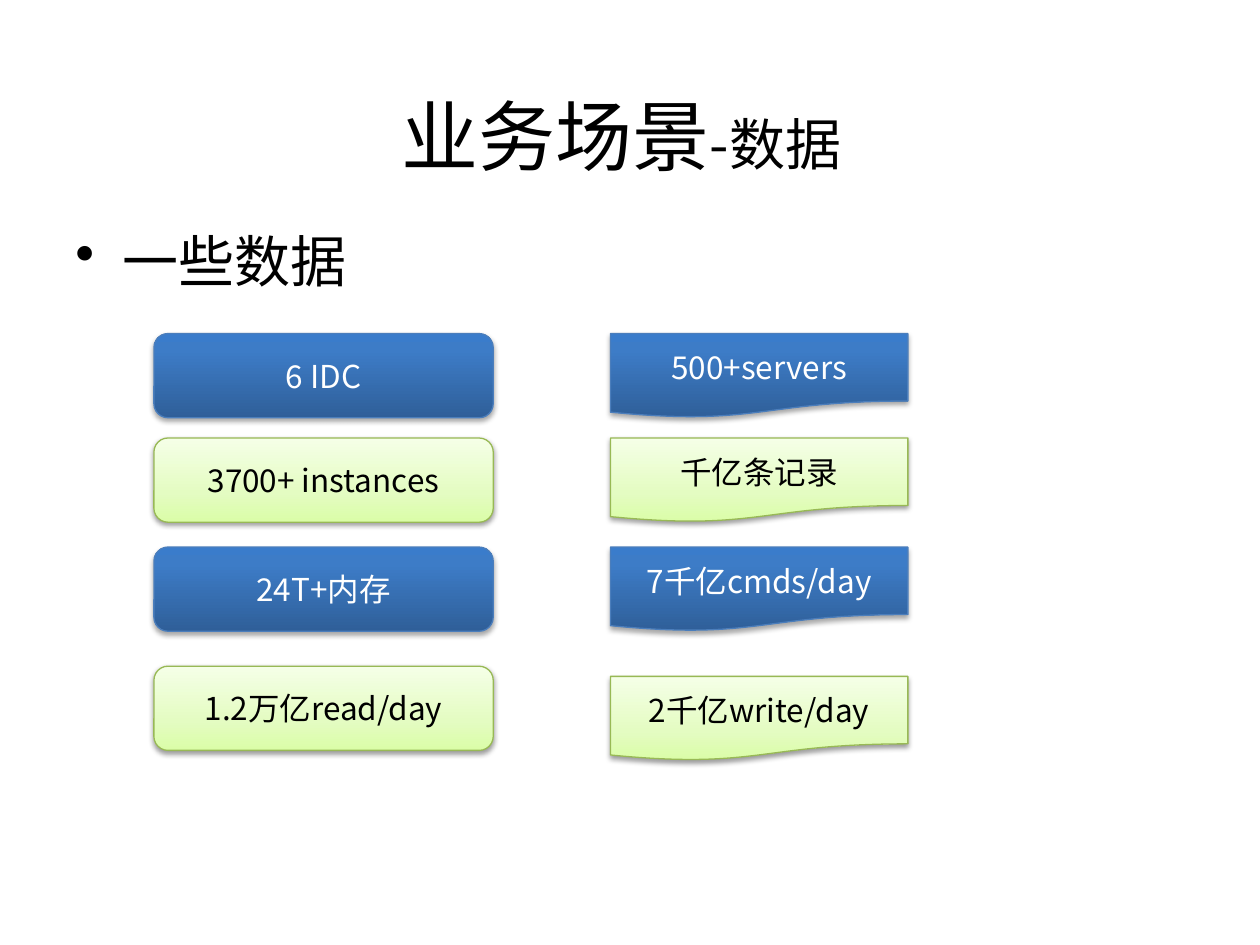
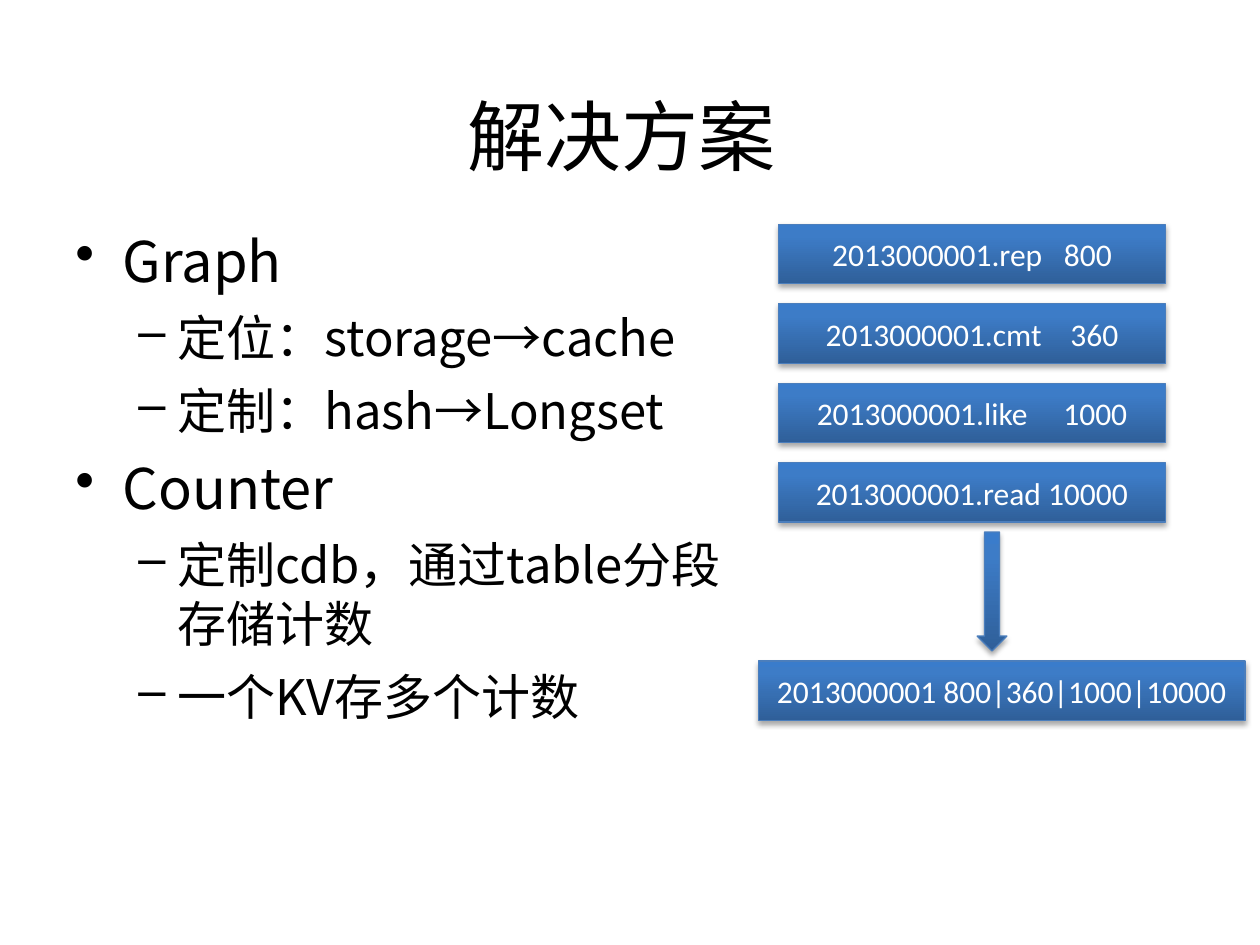
from dataclasses import dataclass, field
from typing import NamedTuple

from lxml.etree import SubElement
from pptx import Presentation
from pptx.dml.color import RGBColor
from pptx.enum.shapes import MSO_SHAPE
from pptx.enum.text import MSO_ANCHOR, PP_ALIGN
from pptx.oxml.ns import qn
from pptx.util import Pt


class Box(NamedTuple):
    left: float
    top: float
    width: float
    height: float


class Piece(NamedTuple):
    text: str
    size: float
    tracking: float = 0


class BulletLevel(NamedTuple):
    mark: str
    margin: float
    hanging: float
    size: float


class Bullet(NamedTuple):
    text: str
    level: int = 0


class Record(NamedTuple):
    key: str
    value: str
    gap_in_spaces: int


@dataclass(frozen=True)
class CardStyle:
    gradient: tuple[tuple[int, str], ...]
    line: str
    text: str
    shadow_opacity: int
    shadow_distance: float


@dataclass(frozen=True)
class Theme:
    text: str = "000000"
    cjk_font: str = "Noto Sans CJK SC"
    record_font: str = "Calibri"
    title_size: float = 44
    subtitle_size: float = 32
    card_size: float = 18
    record_space: float = 4.07
    space_before: float = 8
    shadow_blur: float = 3.1
    levels: tuple[BulletLevel, ...] = (
        BulletLevel("•", 27, 27, 32),
        BulletLevel("–", 58.5, 22.5, 28),
    )
    blue: CardStyle = field(default=CardStyle(
        ((0, "2F5F99"), (80, "3D7CC7"), (100, "3A7CCB")), "4B7EBC", "FFFFFF", 35, 1.8))
    green: CardStyle = field(default=CardStyle(
        ((0, "DAFDA7"), (35, "E4FCC2"), (100, "F5FFE7")), "98B955", "000000", 38, 1.6))


THEME = Theme()
TITLE_BOX = Box(31.2, 31.7, 648, 90)
BODY_TOP, BODY_HEIGHT = 126, 356.4


def emu(points: float) -> str:
    return str(int(Pt(points)))


def place(box: Box) -> tuple:
    return tuple(Pt(length) for length in box)


def write_pieces(paragraph, pieces: list[Piece], font_name: str, color: str) -> None:
    for piece in pieces:
        run = paragraph.add_run()
        run.text = piece.text
        run.font.size = Pt(piece.size)
        run.font.color.rgb = RGBColor.from_string(color)
        run.font.name = font_name
        properties = run.font._element
        SubElement(properties, qn("a:ea")).set("typeface", font_name)
        if piece.tracking:
            properties.set("spc", str(round(piece.tracking * 100)))


def add_title(slide, pieces: list[Piece]) -> None:
    text_frame = slide.shapes.add_textbox(*place(TITLE_BOX)).text_frame
    text_frame.word_wrap = True
    text_frame.vertical_anchor = MSO_ANCHOR.MIDDLE
    paragraph = text_frame.paragraphs[0]
    paragraph.alignment = PP_ALIGN.CENTER
    write_pieces(paragraph, pieces, THEME.cjk_font, THEME.text)


def add_bullets(slide, width: float, bullets: list[Bullet]) -> None:
    box = Box(36, BODY_TOP, width, BODY_HEIGHT)
    text_frame = slide.shapes.add_textbox(*place(box)).text_frame
    text_frame.word_wrap = True
    for index, bullet in enumerate(bullets):
        paragraph = text_frame.add_paragraph() if index else text_frame.paragraphs[0]
        level = THEME.levels[bullet.level]
        paragraph.level = bullet.level
        properties = paragraph._p.get_or_add_pPr()
        properties.set("marL", emu(level.margin))
        properties.set("indent", emu(-level.hanging))
        SubElement(properties, qn("a:buChar")).set("char", level.mark)
        if index:
            paragraph.space_before = Pt(THEME.space_before)
        write_pieces(paragraph, [Piece(bullet.text, level.size)], THEME.cjk_font, THEME.text)


def set_gradient(shape, stops: tuple[tuple[int, str], ...]) -> None:
    """Fill the shape with the stops, running from bottom to top."""
    shape.fill.gradient()
    shape.fill.gradient_angle = 90
    stop_list = shape._element.spPr.find(qn("a:gradFill")).find(qn("a:gsLst"))
    for stop in list(stop_list):
        stop_list.remove(stop)
    for position, color in stops:
        stop = SubElement(stop_list, qn("a:gs"), pos=str(position * 1000))
        SubElement(stop, qn("a:srgbClr"), val=color)


def set_shadow(shape, style: CardStyle) -> None:
    shape.shadow.inherit = False
    effects = shape._element.spPr.find(qn("a:effectLst"))
    shadow = SubElement(effects, qn("a:outerShdw"), blurRad=emu(THEME.shadow_blur),
                        dist=emu(style.shadow_distance), dir="5400000", rotWithShape="0")
    color = SubElement(shadow, qn("a:srgbClr"), val="000000")
    SubElement(color, qn("a:alpha"), val=str(style.shadow_opacity * 1000))


def add_card(slide, preset: MSO_SHAPE, box: Box, style: CardStyle,
             pieces: list[Piece], font_name: str) -> None:
    shape = slide.shapes.add_shape(preset, *place(box))
    set_gradient(shape, style.gradient)
    shape.line.color.rgb = RGBColor.from_string(style.line)
    shape.line.width = Pt(0.75)
    set_shadow(shape, style)
    text_frame = shape.text_frame
    text_frame.word_wrap = True
    text_frame.vertical_anchor = MSO_ANCHOR.MIDDLE
    paragraph = text_frame.paragraphs[0]
    paragraph.alignment = PP_ALIGN.CENTER
    write_pieces(paragraph, pieces, font_name, style.text)


def record_pieces(record: Record) -> list[Piece]:
    """Widen the single space between key and value by tracking."""
    widening = (record.gap_in_spaces - 1) * THEME.record_space
    return [Piece(record.key, THEME.card_size),
            Piece(" ", THEME.card_size, widening),
            Piece(record.value, THEME.card_size)]


def build_data_slide(slide) -> None:
    add_title(slide, [Piece("业务场景", THEME.title_size), Piece("-数据", THEME.subtitle_size)])
    add_bullets(slide, 648, [Bullet("一些数据")])
    columns = [
        (MSO_SHAPE.ROUNDED_RECTANGLE, 88, 193.9, (190.6, 250.3, 312.6, 380.7),
         ("6 IDC", "3700+ instances", "24T+内存", "1.2万亿read/day")),
        (MSO_SHAPE.FLOWCHART_DOCUMENT, 348.8, 170, (190.6, 250.3, 312.6, 386.5),
         ("500+servers", "千亿条记录", "7千亿cmds/day", "2千亿write/day")),
    ]
    for preset, left, width, tops, labels in columns:
        for row, (top, label) in enumerate(zip(tops, labels)):
            style = THEME.green if row % 2 else THEME.blue
            add_card(slide, preset, Box(left, top, width, 48.1), style,
                     [Piece(label, THEME.card_size)], THEME.cjk_font)


def build_solution_slide(slide) -> None:
    add_title(slide, [Piece("解决方案", THEME.title_size)])
    add_bullets(slide, 397.4, [
        Bullet("Graph"),
        Bullet("定位：storage→cache", 1),
        Bullet("定制：hash→Longset", 1),
        Bullet("Counter"),
        Bullet("定制cdb，通过table分段存储计数", 1),
        Bullet("一个KV存多个计数", 1),
    ])
    record_height, record_pitch = 34, 45.4
    separate_records = [
        Record("2013000001.rep", "800", 3),
        Record("2013000001.cmt", "360", 4),
        Record("2013000001.like", "1000", 5),
        Record("2013000001.read", "10000", 1),
    ]
    placed_records = [
        (Box(444.9, 128.2 + row * record_pitch, 221.1, record_height), record)
        for row, record in enumerate(separate_records)
    ]
    merged_record = Record("2013000001", "800|360|1000|10000", 1)
    placed_records.append((Box(433.5, 377.7, 278, record_height), merged_record))
    for box, record in placed_records:
        add_card(slide, MSO_SHAPE.RECTANGLE, box, THEME.blue,
                 record_pieces(record), THEME.record_font)
    add_card(slide, MSO_SHAPE.DOWN_ARROW, Box(558.4, 304, 17, 68), THEME.blue,
             [], THEME.record_font)


def main() -> None:
    presentation = Presentation()
    presentation.slide_width, presentation.slide_height = Pt(720), Pt(540)
    blank_layout = presentation.slide_layouts[6]
    for build in (build_data_slide, build_solution_slide):
        build(presentation.slides.add_slide(blank_layout))
    presentation.save("out.pptx")


if __name__ == "__main__":
    main()
